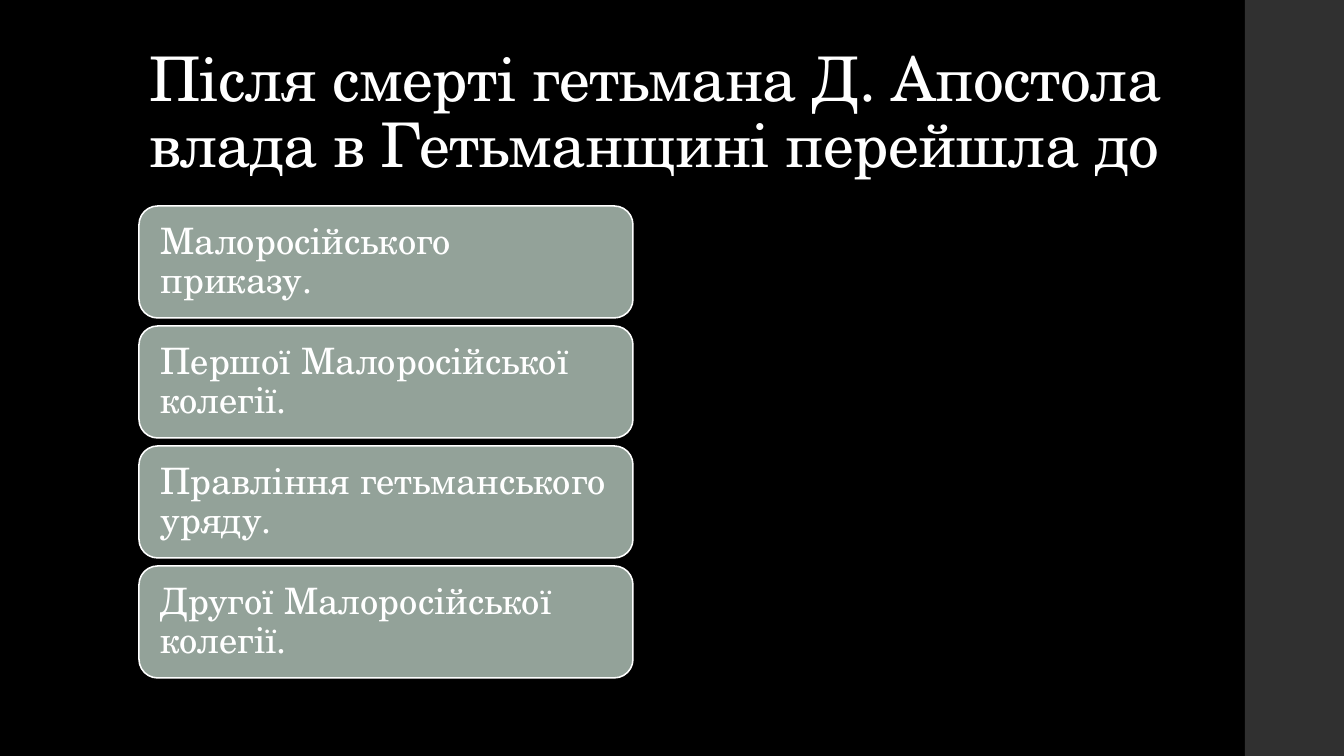
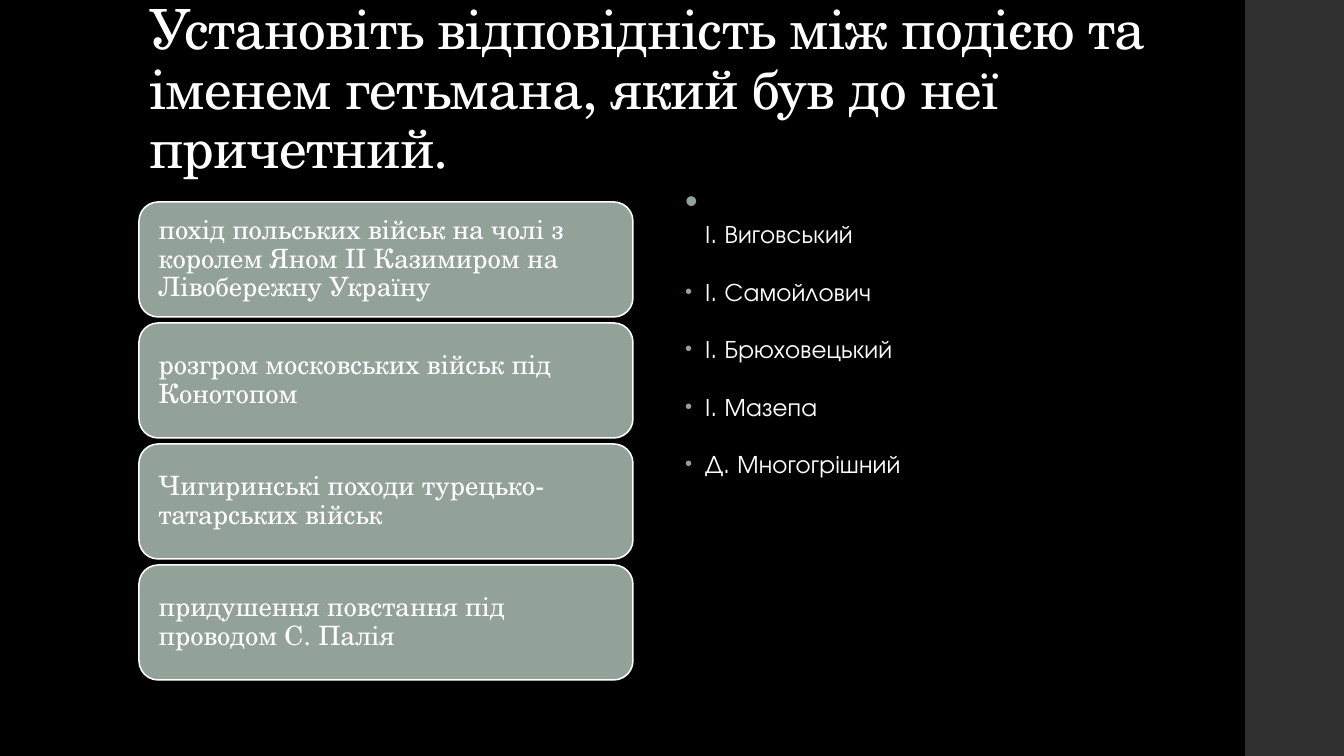
from dataclasses import dataclass

from lxml import etree
from pptx import Presentation
from pptx import util as u
from pptx.dml.color import RGBColor
from pptx.enum import shapes, text
from pptx.oxml import ns

SCALE = 914400 / 100.8
WIDE, HIGH = 1344, 756
BLACK, WHITE, GRAY, SAGE = "000000", "FFFFFF", "303030", "93A299"
SERIF, SANS = "TeX Gyre Schola", "TeX Gyre Adventor"
LEFT, BOX_W = 139, 494


@dataclass
class Stack:
    """A column of equal boxes, with lengths in px and text size in pt."""
    top: int
    high: int
    step: int
    pad: int
    size: int
    items: list[str]


@dataclass
class Page:
    title: str
    size: float
    stack: Stack
    names: list[str]


PAGES = [
    Page("Після смерті гетьмана Д. Апостола влада в Гетьманщині перейшла до", 44,
         Stack(206, 112, 120, 16, 26, [
             "Малоросійського приказу.",
             "Першої Малоросійської колегії.",
             "Правління гетьманського уряду.",
             "Другої Малоросійської колегії.",
         ]), []),
    Page("Установіть відповідність між подією та іменем гетьмана, "
         "який був до неї причетний.", 39.6,
         Stack(202, 115, 121, 14, 19, [
             "похід польських військ на чолі з королем Яном II Казимиром "
             "на Лівобережну Україну",
             "розгром московських військ під Конотопом",
             "Чигиринські походи турецько-татарських військ",
             "придушення повстання під проводом С. Палія",
         ]),
         ["\vІ. Виговський", "І. Самойлович", "І. Брюховецький",
          "І. Мазепа", "Д. Многогрішний"]),
]


def px(n: int) -> u.Emu:
    return u.Emu(round(n * SCALE))


def paint(fill, color: str) -> None:
    fill.solid()
    fill.fore_color.rgb = RGBColor.from_string(color)


def place(shape, x: int, y: int, w: int, h: int) -> None:
    shape.left, shape.top, shape.width, shape.height = map(px, (x, y, w, h))


def style(para, face: str, size: float, track: int = 0) -> None:
    """Format the runs; track is letter spacing in hundredths of a point."""
    para.alignment = text.PP_ALIGN.LEFT
    for run in para.runs:
        run.font.name, run.font.size = face, u.Pt(size)
        paint(run.font.fill, WHITE)
        if track:
            run.font._element.set("spc", str(track))


def bullet(para) -> None:
    props = para._p.get_or_add_pPr()
    props.set("marL", str(px(20)))
    props.set("indent", str(-px(20)))
    color = etree.SubElement(props, ns.qn("a:buClr"))
    etree.SubElement(color, ns.qn("a:srgbClr"), val=SAGE)
    etree.SubElement(props, ns.qn("a:buSzPct"), val="80000")
    etree.SubElement(props, ns.qn("a:buChar"), char="•")


def block(slide, kind, x: int, y: int, w: int, h: int, color: str):
    shape = slide.shapes.add_shape(kind, *map(px, (x, y, w, h)))
    shape.shadow.inherit = False
    paint(shape.fill, color)
    shape.line.fill.background()
    return shape


def add_title(slide, page: Page) -> None:
    title = slide.shapes.title
    place(title, LEFT, 40, 1068, 146)
    frame = title.text_frame
    frame.text = page.title
    frame.auto_size = text.MSO_AUTO_SIZE.NONE
    frame.vertical_anchor = text.MSO_ANCHOR.BOTTOM
    para = frame.paragraphs[0]
    para.line_spacing = 0.9
    style(para, SERIF, page.size, -50)


def add_stack(slide, stack: Stack) -> None:
    for i, item in enumerate(stack.items):
        box = block(slide, shapes.MSO_SHAPE.ROUNDED_RECTANGLE, LEFT,
                    stack.top + i * stack.step, BOX_W, stack.high, SAGE)
        paint(box.line.fill, WHITE)
        box.line.width = u.Pt(1.1)
        frame = box.text_frame
        frame.text = item
        frame.word_wrap = True
        frame.vertical_anchor = text.MSO_ANCHOR.MIDDLE
        frame.margin_left = frame.margin_right = px(stack.pad)
        frame.margin_top = frame.margin_bottom = px(stack.pad)
        para = frame.paragraphs[0]
        para.line_spacing = 0.9
        style(para, SERIF, stack.size)


def add_names(slide, names: list[str]) -> None:
    body = slide.placeholders[1]
    place(body, 675, 202, BOX_W, 480)
    frame = body.text_frame
    frame.auto_size = text.MSO_AUTO_SIZE.NONE
    for i, name in enumerate(names):
        para = frame.add_paragraph() if i else frame.paragraphs[0]
        para.text = name
        para.line_spacing = u.Pt(19.5 if i else 15)
        para.space_before = u.Pt(14 if i else 0)
        para.space_after = u.Pt(7.5)
        bullet(para)
        style(para, SANS, 18, 10)


def main() -> None:
    prs = Presentation()
    prs.slide_width, prs.slide_height = px(WIDE), px(HIGH)
    paint(prs.slide_master.background.fill, BLACK)
    for page in PAGES:
        slide = prs.slides.add_slide(prs.slide_layouts[1 if page.names else 5])
        block(slide, shapes.MSO_SHAPE.RECTANGLE, 1245, 0, WIDE - 1245, HIGH, GRAY)
        add_title(slide, page)
        add_stack(slide, page.stack)
        if page.names:
            add_names(slide, page.names)
    prs.save("out.pptx")


if __name__ == "__main__":
    main()
